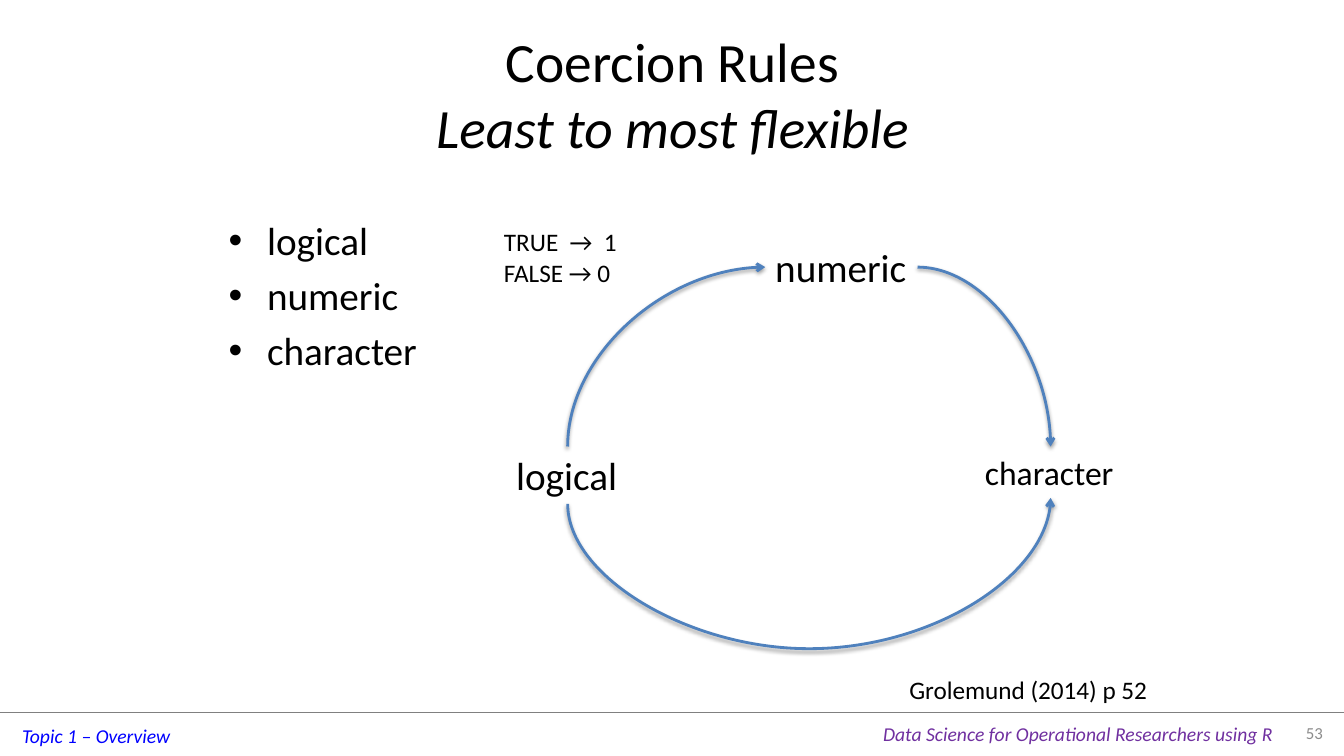
from lxml import etree
from pptx import Presentation
from pptx import util as u
from pptx.dml.color import RGBColor
from pptx.enum import shapes, text
from pptx.oxml import ns

COLORS = {
    "text": "000000",
    "topic": "0000FF",
    "course": "7030A0",
    "page": "8C8C8C",
    "rule": "808080",
    "arrow": "4F81BD",
    "shadow": "000000",
}
LEFT, CENTER, RIGHT = text.PP_ALIGN.LEFT, text.PP_ALIGN.CENTER, text.PP_ALIGN.RIGHT


def child(parent, tag, **attributes):
    return etree.SubElement(parent, ns.qn(tag), **attributes)


class SlideBuilder:
    font = "Calibri"

    def __init__(self, slide):
        self.slide = slide

    def style(self, run, size, color, italic=False):
        formats = {"name": self.font, "size": u.Pt(size), "italic": italic}
        for name, value in formats.items():
            setattr(run.font, name, value)
        run.font.color.rgb = RGBColor.from_string(COLORS[color])

    def frame(self, box, wrap=True, middle=False):
        area = self.slide.shapes.add_textbox(*map(u.Inches, box)).text_frame
        fit = text.MSO_AUTO_SIZE
        formats = {
            "word_wrap": wrap,
            "auto_size": fit.NONE if wrap else fit.SHAPE_TO_FIT_TEXT,
            "vertical_anchor": text.MSO_ANCHOR.MIDDLE if middle else text.MSO_ANCHOR.TOP,
        }
        for name, value in formats.items():
            setattr(area, name, value)
        return area

    def paragraphs(self, area, lines):
        for index, line in enumerate(lines):
            paragraph = area.add_paragraph() if index else area.paragraphs[0]
            yield index, paragraph, line

    def label(self, box, lines, size, color="text", italic=False, align=LEFT,
              wrap=False, middle=False):
        area = self.frame(box, wrap, middle)
        for _, paragraph, line in self.paragraphs(area, lines):
            paragraph.alignment = align
            run = paragraph.add_run()
            run.text = line
            self.style(run, size, color, italic)

    def title(self, box, heading, subtitle, size):
        paragraph = self.frame(box, middle=True).paragraphs[0]
        paragraph.alignment = CENTER
        for line, italic in ((heading, False), (subtitle, True)):
            if italic:
                paragraph.add_line_break()
            run = paragraph.add_run()
            run.text = line
            self.style(run, size, "text", italic)

    def bullets(self, box, items, size):
        indent = u.Inches(0.38)
        for index, paragraph, item in self.paragraphs(self.frame(box), items):
            properties = paragraph._p.get_or_add_pPr()
            properties.set("marL", str(indent))
            properties.set("indent", str(-indent))
            child(properties, "a:buFont", typeface="Arial")
            child(properties, "a:buChar", char="•")
            paragraph.space_before = u.Pt(0.2 * size if index else 0)
            run = paragraph.add_run()
            run.text = item
            self.style(run, size, "text")

    def connector(self, kind, start, end, color, width):
        line = self.slide.shapes.add_connector(kind, *map(u.Inches, start + end))
        line.line.color.rgb = RGBColor.from_string(COLORS[color])
        line.line.width = u.Pt(width)
        return line, child(line._element.spPr, "a:effectLst")

    def curve(self, start, end, turned=False, sag=0):
        (x1, y1), (x2, y2) = start, end
        width, height = abs(x2 - x1), abs(y2 - y1)
        if turned:
            width, height = height, width
        left, top = (x1 + x2 - width) / 2, (y1 + y2 - height) / 2
        arrow, effects = self.connector(
            shapes.MSO_CONNECTOR.CURVE, (left, top), (left + width, top + height), "arrow", 2)
        properties = arrow._element.spPr
        if turned:
            for name, value in {"rot": "5400000", "flipH": "1", "flipV": "1"}.items():
                properties.find(ns.qn("a:xfrm")).set(name, value)
        geometry = properties.find(ns.qn("a:prstGeom"))
        geometry.set("prst", "curvedConnector3" if sag else "curvedConnector2")
        if sag:
            bend = round(-sag / width * 100000)
            child(geometry.find(ns.qn("a:avLst")), "a:gd", name="adj1", fmla=f"val {bend}")
        child(properties.find(ns.qn("a:ln")), "a:tailEnd", type="arrow")
        shadow = child(effects, "a:outerShdw", blurRad=str(u.Pt(3.1)), dist=str(u.Pt(1.6)),
                       dir="5400000", rotWithShape="0")
        child(child(shadow, "a:srgbClr", val=COLORS["shadow"]), "a:alpha", val="38000")


def main():
    deck = Presentation()
    deck.slide_width, deck.slide_height = u.Inches(13.33), u.Inches(7.5)
    page = SlideBuilder(deck.slides.add_slide(deck.slide_layouts[6]))

    page.connector(shapes.MSO_CONNECTOR.STRAIGHT, (0, 7.07), (13.33, 7.07), "rule", 0.25)
    page.label((0.12, 7.13, 1.68, 0.34), ["Topic 1 – Overview"], 14, "topic", True)
    page.label((8.66, 7.11, 4.11, 0.34),
               ["Data Science for Operational Researchers using R"], 14, "course", True)
    page.label((12.67, 7.07, 0.55, 0.39), ["53"], 12, "page", align=RIGHT,
               wrap=True, middle=True)

    page.title((0.67, 0.3, 12, 1.25), "Coercion Rules", "Least to most flexible", 39.6)
    page.bullets((2.17, 2.1, 4.42, 4.95), ["logical", "numeric", "character"], 28)

    page.label((5.02, 4.43, 1.22, 0.57), ["logical"], 28)
    page.label((7.59, 2.36, 1.52, 0.57), ["numeric"], 28)
    page.label((9.67, 4.43, 1.5, 0.5), ["character"], 24)

    page.curve((5.63, 4.43), (7.59, 2.65), turned=True)
    page.curve((9.1, 2.65), (10.42, 4.43))
    page.curve((5.63, 5), (10.42, 4.94), turned=True, sag=1.44)

    page.label((4.9, 2.2, 1.35, 0.71), ["TRUE  →  1", "FALSE → 0"], 18)
    page.label((8.92, 6.64, 2.59, 0.4), ["Grolemund (2014) p 52"], 18)
    deck.save("out.pptx")


if __name__ == "__main__":
    main()
